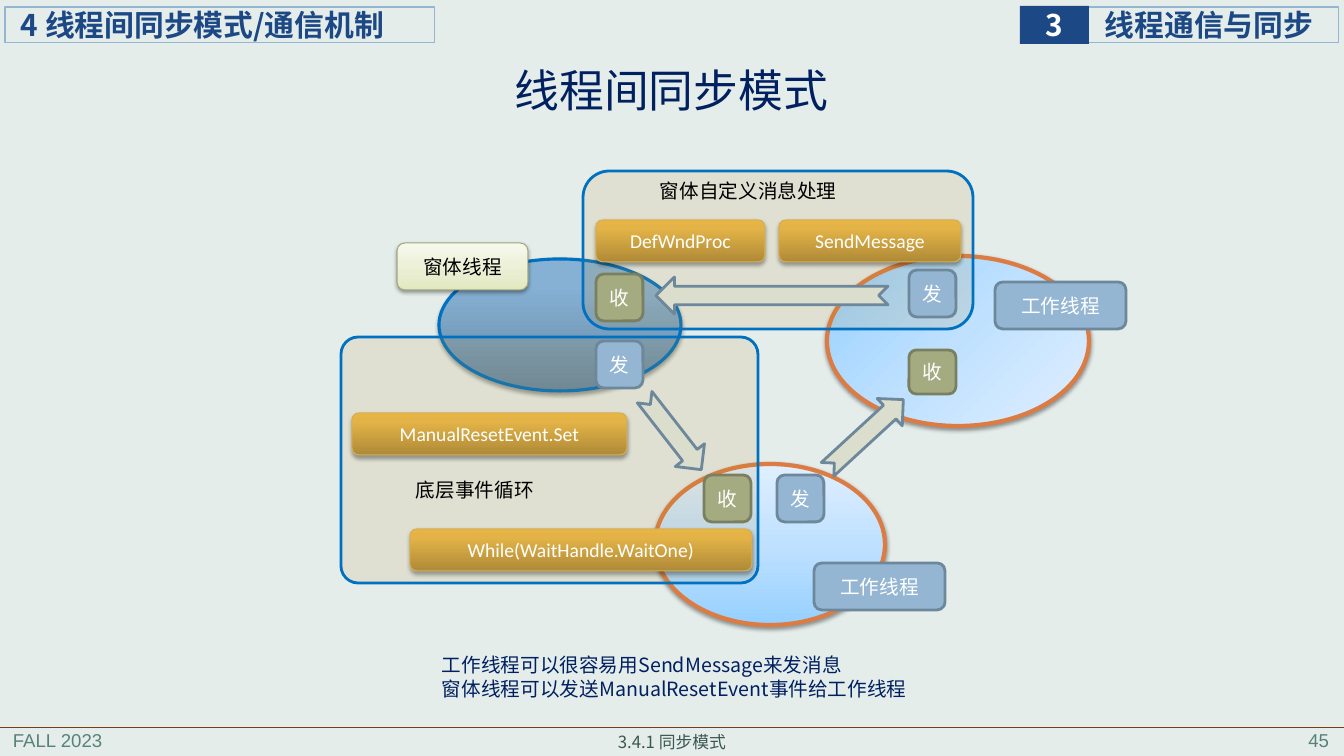
from lxml import etree
from pptx import Presentation
from pptx import util as u
from pptx.dml.color import RGBColor
from pptx.enum import shapes, text
from pptx.oxml.ns import qn

SCALE = 12192000 / 1344  # EMU per px
CJK = "Noto Sans CJK SC"
KIND = shapes.MSO_SHAPE
ALIGN = text.PP_ALIGN
MIDDLE = text.MSO_ANCHOR.MIDDLE
TOP = text.MSO_ANCHOR.TOP

# Gradients as (percent, colour); shadows as (opacity, distance in points)
SKY = [(0, "96D0FF"), (50, "BFE1FF"), (100, "E0EFFF")]
STEEL = [(0, "6788A4"), (80, "86B1D4"), (100, "86B2D7")]
GOLD = [(0, "AF8A37"), (80, "E3B347"), (100, "E7B544")]
CREAM = [(0, "E1E8BF"), (35, "E9EED2"), (100, "F7F9ED")]
SOFT, STRONG = (38, 1.6), (35, 1.8)

WORKER = dict(fill=SKY, line=("DC7C42", 3), shadow=SOFT)
WINDOW = dict(fill=STEEL, line=("0070C0", 2.25), shadow=STRONG)
FRAME = dict(fill="BA8F2D", line=("0070C0", 2), alpha=13)
ARROW = dict(fill="DBDDCD", line=("6D879B", 2))
CALL = dict(fill=GOLD, line=("D6AF57", 0.75), shadow=STRONG)
SEND = dict(fill="94B6D2", line=("6D879B", 2))
RECEIVE = dict(fill="A5AB81", line=("7A7F5F", 2))
WINDOW_TAG = dict(fill=CREAM, line=("A2A87D", 0.75), shadow=SOFT)
HEADER = dict(line=("94B6D2", 0.75))


def px(value):
    return u.Emu(round(value * SCALE))


def rgb(color):
    return RGBColor.from_string(color)


def child(parent, tag, **values):
    return etree.SubElement(parent, qn(tag),
                            {name: str(value) for name, value in values.items()})


def write(shape, lines, size, color, font=CJK, align=ALIGN.CENTER, anchor=MIDDLE,
          bold=False, insets=None, spacing=None):
    frame = shape.text_frame
    settings = {"word_wrap": True, "vertical_anchor": anchor}
    if insets:
        sides = ("margin_left", "margin_top", "margin_right", "margin_bottom")
        settings.update(zip(sides, map(px, insets)))
    for name, value in settings.items():
        setattr(frame, name, value)
    for index, line in enumerate(lines.split("\n")):
        para = frame.add_paragraph() if index else frame.paragraphs[0]
        para.alignment = align
        if spacing:
            para.line_spacing = spacing
        span = para.add_run()
        span.text = line
        for name, value in {"name": font, "size": u.Pt(size), "bold": bold}.items():
            setattr(span.font, name, value)
        span.font.color.rgb = rgb(color)
        child(span.font._element, "a:ea", typeface=font)


def paint_gradient(shape, stops, radial):
    shape.fill.gradient()
    gradient = shape._element.spPr.find(qn("a:gradFill"))
    gradient.clear()
    stop_list = child(gradient, "a:gsLst")
    for percent, color in stops:
        stop = child(stop_list, "a:gs", pos=percent * 1000)
        child(stop, "a:srgbClr", val=color)
    if radial:
        circle = child(gradient, "a:path", path="circle")
        child(circle, "a:fillToRect", r=100000, b=100000)
    else:
        child(gradient, "a:lin", ang=270 * 60000, scaled=0)


def add_block(page, kind, place, fill=None, line=None, shadow=None, alpha=None,
              radial=False, corner=None, turn=0):
    block = page.shapes.add_shape(kind, *map(px, place))
    block.rotation = turn
    if corner is not None:
        block.adjustments[0] = corner
    # Fill and outline
    if isinstance(fill, list):
        paint_gradient(block, fill, radial)
    elif fill:
        block.fill.solid()
        block.fill.fore_color.rgb = rgb(fill)
        if alpha:
            tint = block._element.spPr.find(qn("a:solidFill"))[0]
            child(tint, "a:alpha", val=alpha * 1000)
    else:
        block.fill.background()
    if line:
        block.line.color.rgb = rgb(line[0])
        block.line.width = u.Pt(line[1])
    else:
        block.line.fill.background()
    # Shadow
    block.shadow.inherit = False
    if shadow:
        opacity, distance = shadow
        effects = block._element.spPr.find(qn("a:effectLst"))
        outer = child(effects, "a:outerShdw", blurRad=u.Pt(3.1), dist=u.Pt(distance),
                      dir=90 * 60000, rotWithShape=0)
        child(child(outer, "a:srgbClr", val="000000"), "a:alpha", val=opacity * 1000)
    return block


def add_label(page, place, words, style, color="FFFFFF", font=CJK):
    box = add_block(page, KIND.ROUNDED_RECTANGLE, place, **style)
    write(box, words, 14, color, font, insets=(0, 0, 0, 0))


def add_text(page, place, words, size, color, **options):
    write(page.shapes.add_textbox(*map(px, place)), words, size, color, **options)


def add_header(page):
    left, flat = ALIGN.LEFT, KIND.RECTANGLE
    for place, words, inset in [((1087, 7, 252, 36), "线程通信与同步", 18),
                                ((5, 7, 430, 36), "4 线程间同步模式/通信机制", 16)]:
        box = add_block(page, flat, place, **HEADER)
        write(box, words, 21.3, "1C4885", align=left, bold=True, insets=(inset, 0, 0, 0))
    number = add_block(page, flat, (1020, 6, 69, 38), fill="1C4885")
    write(number, "3", 21.3, "FFFFFF", bold=True, insets=(0, 0, 0, 0))


def add_footer(page):
    rule = page.shapes.add_connector(shapes.MSO_CONNECTOR.STRAIGHT,
                                     px(-3), px(727), px(1344), px(727))
    rule.line.color.rgb = rgb("7B3D17")
    rule.line.width = u.Pt(0.5)
    child(rule._element.spPr, "a:effectLst")
    for left, words, align in [(3, "FALL 2023", ALIGN.LEFT), (1059, "45", ALIGN.RIGHT)]:
        add_text(page, (left, 725, 280, 31), words, 13.3, "578279",
                 font="Arial", align=align)
    add_text(page, (168, 727, 1008, 30), "3.4.1 同步模式", 12, "3A5750", anchor=TOP)


def add_threads(page):
    # Thread ellipses and the frames laid over them
    add_block(page, KIND.OVAL, (655, 464, 230, 161), **WORKER)
    add_block(page, KIND.OVAL, (439, 259, 242, 132), **WINDOW)
    add_block(page, KIND.ROUNDED_RECTANGLE, (341, 337, 417, 246), corner=0.07, **FRAME)
    add_block(page, KIND.OVAL, (827, 256, 262, 170), radial=True, **WORKER)
    add_block(page, KIND.ROUNDED_RECTANGLE, (583, 171, 390, 158), **FRAME)
    # Message arrows
    for left, top, width, turn in [(656, 277, 232, 180), (814, 416, 103, 317.4),
                                   (627, 415, 92, 52)]:
        add_block(page, KIND.NOTCHED_RIGHT_ARROW, (left, top, width, 37),
                  turn=turn, **ARROW)


def add_labels(page):
    # Calls
    for left, top, width, words in [(596, 220, 169, "DefWndProc"),
                                    (779, 220, 182, "SendMessage"),
                                    (352, 413, 275, "ManualResetEvent.Set"),
                                    (410, 529, 342, "While(WaitHandle.WaitOne)")]:
        add_label(page, (left, top, width, 42), words, CALL, font="Calibri")
    # Thread names
    add_label(page, (397, 243, 131, 47), "窗体线程", WINDOW_TAG, "000000")
    for left, top in [(995, 282), (814, 563)]:
        add_label(page, (left, top, 131, 47), "工作线程", SEND)
    # Send and receive ends
    for left, top in [(909, 270), (777, 475), (596, 341)]:
        add_label(page, (left, top, 47, 47), "发", SEND)
    for left, top, height in [(596, 274, 47), (909, 350, 44), (704, 475, 47)]:
        add_label(page, (left, top, 47, height), "收", RECEIVE)
    # Captions
    captions = [((650, 174, 249, 40), "窗体自定义消息处理", "000000"),
                ((406, 473, 174, 40), "底层事件循环", "000000"),
                ((432, 648, 498, 57),
                 "工作线程可以很容易用SendMessage来发消息\n"
                 "窗体线程可以发送ManualResetEvent事件给工作线程", "002060")]
    for place, words, color in captions:
        add_text(page, place, words, 14, color, align=ALIGN.LEFT, anchor=TOP)


def main():
    deck = Presentation()
    deck.slide_width, deck.slide_height = px(1344), px(756)
    page = deck.slides.add_slide(deck.slide_layouts[5])
    page.background.fill.solid()
    page.background.fill.fore_color.rgb = rgb("E5EDEB")
    # Title
    title = page.shapes.title
    for name, value in dict(left=92, top=53, width=1159, height=79).items():
        setattr(title, name, px(value))
    write(title, "线程间同步模式", 32, "002060", spacing=0.9)
    add_header(page)
    add_footer(page)
    add_threads(page)
    add_labels(page)
    deck.save("out.pptx")


if __name__ == "__main__":
    main()
